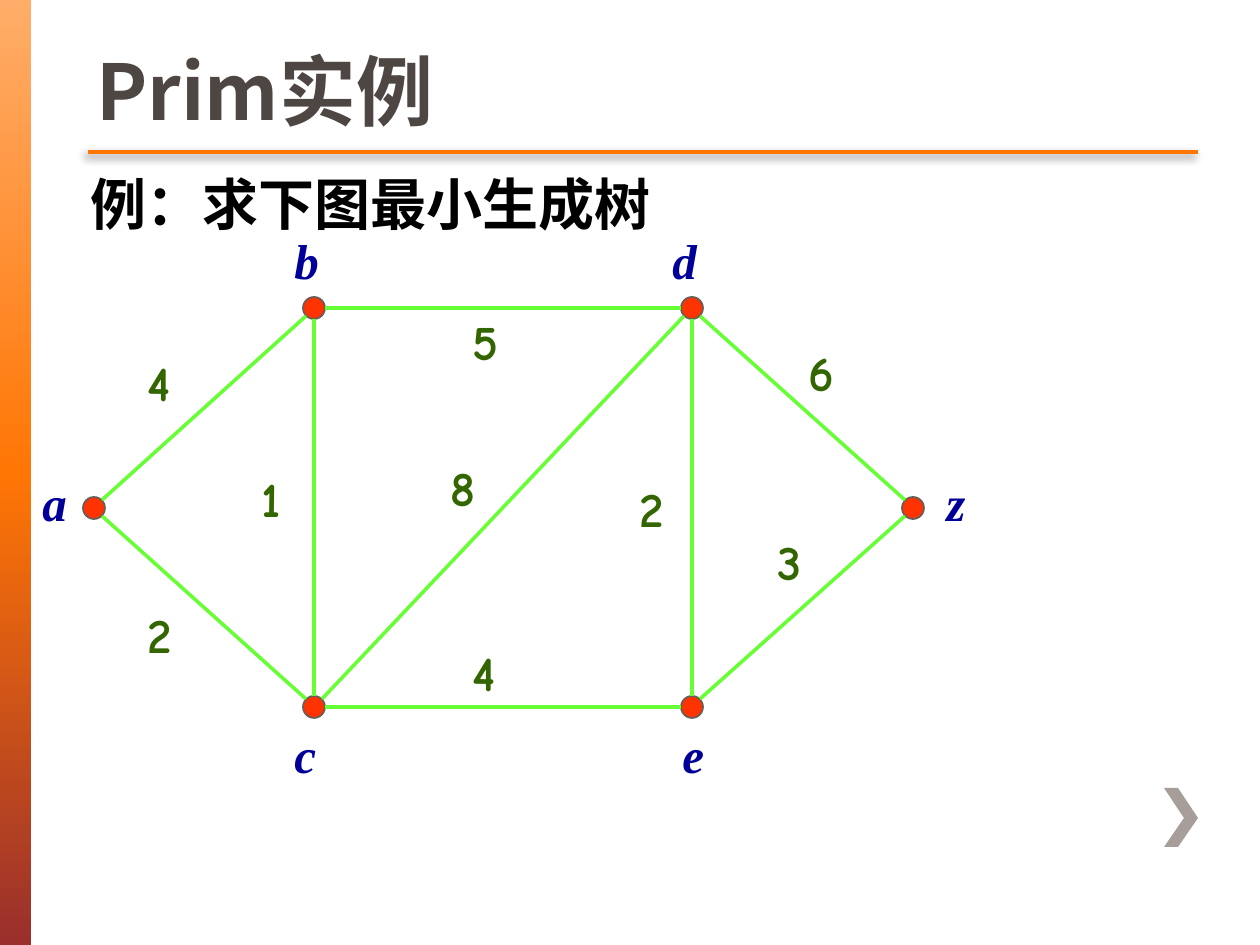
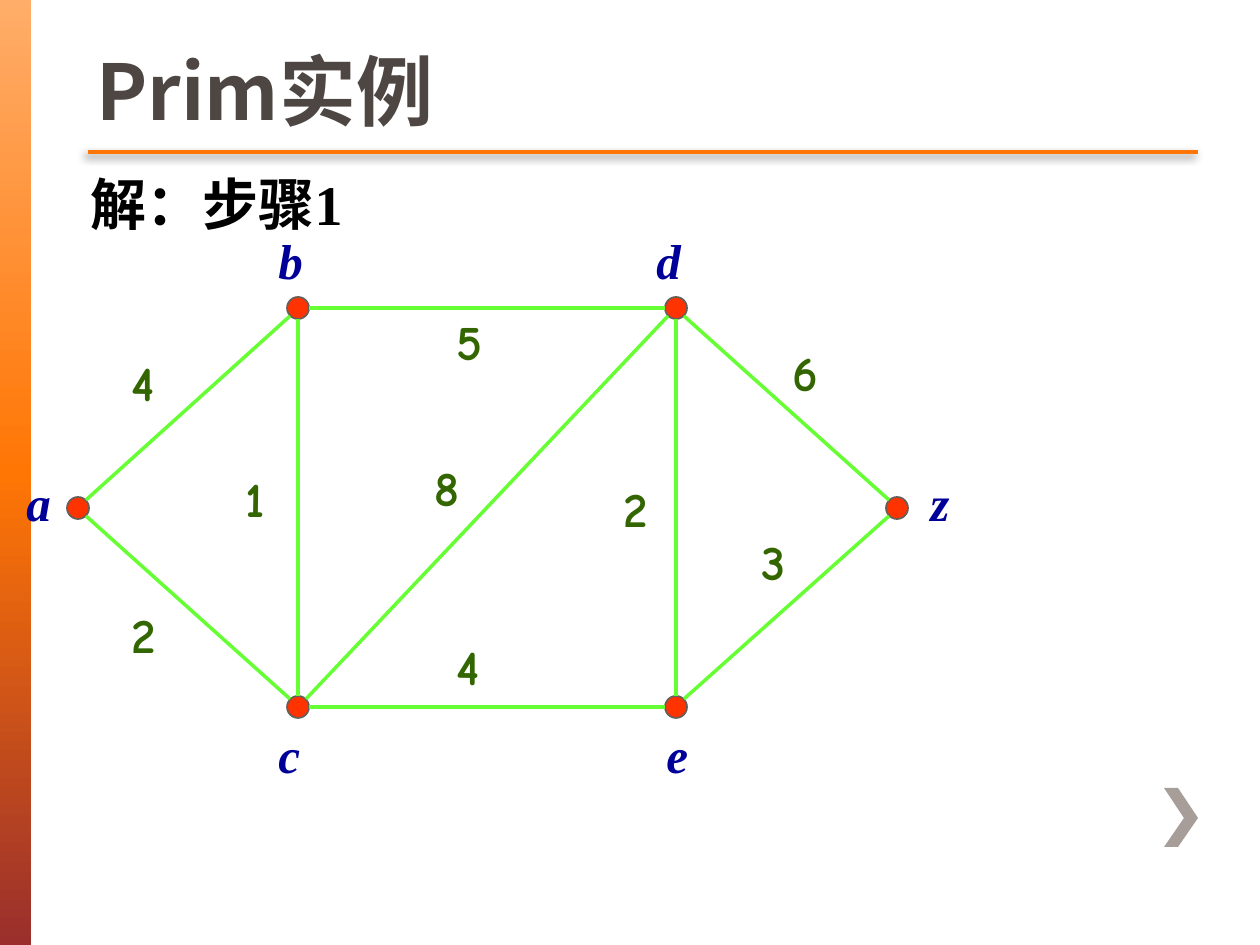
from lxml import etree
from pptx import Presentation
from pptx.dml.color import RGBColor
from pptx.enum.shapes import MSO_CONNECTOR, MSO_SHAPE
from pptx.enum.text import MSO_ANCHOR, MSO_AUTO_SIZE
from pptx.oxml import parse_xml
from pptx.oxml.ns import qn
from pptx.util import Pt

PX = 914400 / 126
STRAIGHT = MSO_CONNECTOR.STRAIGHT
BAND, NODE = MSO_SHAPE.RECTANGLE, MSO_SHAPE.FLOWCHART_CONNECTOR
BOTTOM, TOP = MSO_ANCHOR.BOTTOM, MSO_ANCHOR.TOP
GROW = MSO_AUTO_SIZE.SHAPE_TO_FIT_TEXT
DRAWING = 'xmlns:a="http://schemas.openxmlformats.org/drawingml/2006/main"'

SANS, SERIF, HAND = "Noto Sans CJK SC", "Times New Roman", "Comic Neue"
ORANGE, GRAY, TITLE, OUTLINE = "FF7605", "A79D99", "4D4643", "675D59"
BLACK, RED, GREEN, NAVY, DARK_GREEN = "000000", "FF3300", "66FF33", "000099", "336600"
BAND_STOPS = [(0, "FFAD69"), (50, ORANGE), (100, "9A2F2C")]

CHEVRON = [(1178, 788), (1164, 788), (1184, 818), (1164, 847), (1178, 847), (1198, 818)]
RADIUS = 11
LABEL_W, LABEL_H = 63, 72
# vertex: centre, then the corner of its label
VERTICES = {
    "a": ((94, 508), (30, 466)),
    "b": ((314, 308), (282, 224)),
    "c": ((314, 707), (282, 718)),
    "d": ((692, 308), (660, 224)),
    "e": ((692, 707), (670, 718)),
    "z": ((913, 508), (934, 466)),
}
# edge: weight, then the corner of its label
EDGES = {
    "ab": ("4", (135, 346)),
    "bd": ("5", (460, 305)),
    "dz": ("6", (796, 336)),
    "ze": ("3", (765, 525)),
    "ec": ("4", (460, 636)),
    "ca": ("2", (135, 598)),
    "cb": ("1", (249, 462)),
    "ed": ("2", (627, 472)),
    "cd": ("8", (438, 451)),
}


def px(*lengths):
    return [round(length * PX) for length in lengths]


def rgb(value):
    return RGBColor.from_string(value)


def toward(start, end):
    """Point where the edge from start to end leaves the start vertex."""
    signs = [(e > s) - (e < s) for s, e in zip(start, end)]
    reach = RADIUS * (0.71 if all(signs) else 1)
    return [round(s + sign * reach) for s, sign in zip(start, signs)]


class Deck:
    def __init__(self):
        self.prs = Presentation()
        self.prs.slide_width, self.prs.slide_height = px(1260, 945)
        self.shapes = None

    def new_slide(self, title):
        slide = self.prs.slides.add_slide(self.prs.slide_layouts[6])
        self.shapes = slide.shapes
        self.band(0, 0, 31, 945)
        self.chevron()
        rule = self.line((88, 152), (1198, 152), ORANGE, 2.5)
        self.cast_shadow(rule)
        run = self.text(title, (84, 0, 1110, 142), 44, SANS, TITLE, anchor=BOTTOM)
        run.font._element.insert(0, parse_xml(
            f'<a:ln {DRAWING} w="12700"><a:solidFill><a:srgbClr val="{OUTLINE}"/>'
            '</a:solidFill></a:ln>'))

    def shape(self, kind, *box):
        shape = self.shapes.add_shape(kind, *px(*box))
        shape.shadow.inherit = False
        return shape

    def band(self, *box):
        band = self.shape(BAND, *box)
        band.line.fill.background()
        band.fill.gradient()
        band.fill.gradient_angle = 270
        stops = band.fill._xPr.find(qn("a:gradFill")).find(qn("a:gsLst"))
        for stop in list(stops):
            stops.remove(stop)
        for percent, color in BAND_STOPS:
            stop = etree.SubElement(stops, qn("a:gs"), pos=str(percent * 1000))
            etree.SubElement(stop, qn("a:srgbClr"), val=color)

    def chevron(self):
        outline = self.shapes.build_freeform(*CHEVRON[0], scale=PX)
        outline.add_line_segments(CHEVRON[1:])
        arrow = outline.convert_to_shape()
        arrow.shadow.inherit = False
        arrow.fill.solid()
        arrow.fill.fore_color.rgb = rgb(GRAY)
        arrow.line.fill.background()

    def line(self, start, end, color, width):
        line = self.shapes.add_connector(STRAIGHT, *px(*start, *end))
        line.line.color.rgb = rgb(color)
        line.line.width = Pt(width)
        etree.SubElement(line._element.spPr, qn("a:effectLst"))
        return line

    def cast_shadow(self, line):
        effects = line._element.spPr.find(qn("a:effectLst"))
        effects.append(parse_xml(
            f'<a:outerShdw {DRAWING} blurRad="63500" dist="38100" dir="8100000">'
            f'<a:srgbClr val="{BLACK}"><a:alpha val="45000"/></a:srgbClr></a:outerShdw>'))

    def text(self, words, box, size, font, color, italic=False, anchor=TOP, before=0):
        """Bold one-line text; before is the space above in percent."""
        frame = self.shapes.add_textbox(*px(*box)).text_frame
        frame.word_wrap = True
        frame.vertical_anchor = anchor
        if anchor == TOP:
            frame.auto_size = GROW
        frame.text = words
        paragraph = frame.paragraphs[0]
        if before:
            space = etree.SubElement(paragraph._p.get_or_add_pPr(), qn("a:spcBef"))
            etree.SubElement(space, qn("a:spcPct"), val=str(before * 1000))
        run = paragraph.runs[0]
        run.font.size = Pt(size)
        run.font.bold = True
        run.font.italic = italic
        run.font.color.rgb = rgb(color)
        run.font.name = font
        etree.SubElement(run.font._element, qn("a:ea"), typeface=SANS)
        return run

    def subtitle(self, words, width):
        self.text(words, (78, 163, width, 79), 32, SERIF, BLACK, before=20)

    def vertex(self, center):
        x, y = center
        dot = self.shape(NODE, x - RADIUS, y - RADIUS, 2 * RADIUS, 2 * RADIUS)
        dot.fill.solid()
        dot.fill.fore_color.rgb = rgb(RED)
        dot.line.color.rgb = rgb(OUTLINE)
        dot.line.width = Pt(1)

    def label(self, words, corner, font, color, italic=False):
        self.text(words, (*corner, LABEL_W, LABEL_H), 28, font, color, italic, before=50)

    def graph(self, shift=0, moved=None):
        """Weighted graph, moved sideways by shift; moved overrides weight corners."""
        slide_shapes = self.shapes
        group = slide_shapes.add_group_shape()
        self.shapes = group.shapes
        for center, _ in VERTICES.values():
            self.vertex(center)
        for first, second in EDGES:
            start, end = VERTICES[first][0], VERTICES[second][0]
            self.line(toward(start, end), toward(end, start), GREEN, 2)
        for name, (_, corner) in VERTICES.items():
            self.label(name, corner, SERIF, NAVY, italic=True)
        for edge, (weight, corner) in EDGES.items():
            self.label(weight, (moved or {}).get(edge, corner), HAND, DARK_GREEN)
        group.left += px(shift)[0]
        self.shapes = slide_shapes


def main():
    deck = Deck()
    deck.new_slide("Prim实例")
    deck.graph()
    deck.subtitle("例：求下图最小生成树", 1105)

    deck.new_slide("Prim实例")
    deck.subtitle("解：步骤1", 896)
    deck.graph(shift=-16, moved={"ec": (460, 630)})
    deck.prs.save("out.pptx")


if __name__ == "__main__":
    main()
